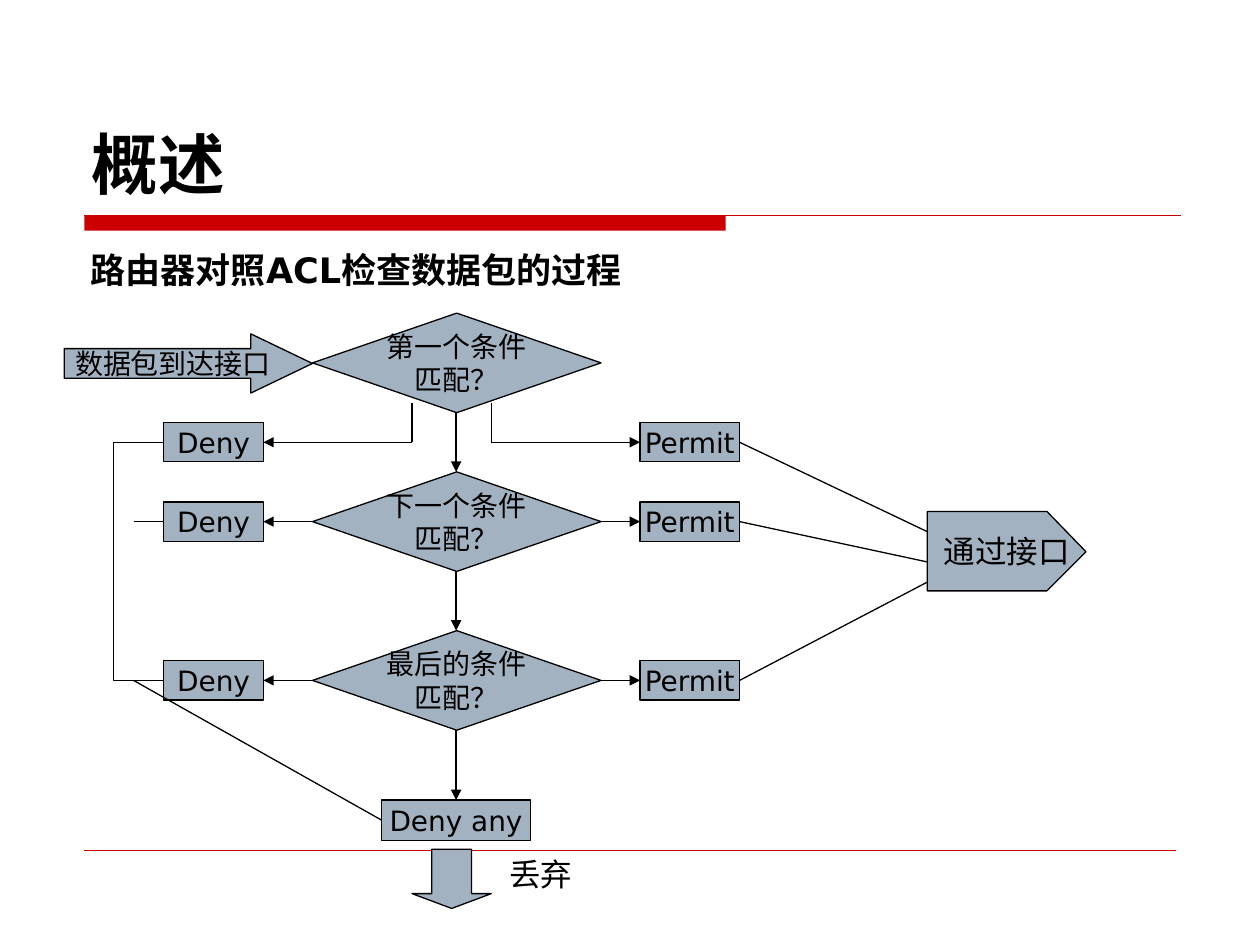
from lxml import etree
from pptx import Presentation
from pptx.dml.color import RGBColor
from pptx.enum.shapes import MSO_CONNECTOR, MSO_SHAPE
from pptx.enum.text import MSO_ANCHOR, MSO_AUTO_SIZE, PP_ALIGN
from pptx.oxml.ns import qn
from pptx.util import Inches, Pt

FONT = "DejaVu Sans"
BLACK, RED, STEEL = "000000", "CC0000", "A3B2C1"

TITLE = "概述"
SUBTITLE = "路由器对照ACL检查数据包的过程"
CENTER = 3.62
ROWS = [3.51, 4.14, 5.4]
CONDITIONS = [("第一个条件", 2.88), ("下一个条件", 4.14), ("最后的条件", 5.4)]
DIAMOND_WIDTH, DIAMOND_HEIGHT = 2.29, 0.79
DIAMOND_LEFT, DIAMOND_RIGHT = 2.48, 4.77
BOX_WIDTH, BOX_HEIGHT = 0.79, 0.31
DENY_LEFT, PERMIT_LEFT = 1.3, 5.08
DENY_RIGHT, PERMIT_RIGHT = DENY_LEFT + BOX_WIDTH, PERMIT_LEFT + BOX_WIDTH
DENY_ANY_TOP = 6.35
EXIT_LEFT = 7.36
EXIT_ENTRIES = [4.22, 4.46, 4.62]
EXIT_OUTLINE = [(EXIT_LEFT, 4.06), (8.31, 4.06), (8.62, 4.38), (8.31, 4.69), (EXIT_LEFT, 4.69)]
DENY_BRACKET = [(DENY_LEFT, ROWS[0]), (0.9, ROWS[0]), (0.9, ROWS[2]), (DENY_LEFT, ROWS[2])]


def color(value):
    return RGBColor.from_string(value)


def write(shape, lines, size, bold=False, align=PP_ALIGN.CENTER, anchor=MSO_ANCHOR.MIDDLE, wrap=False):
    frame = shape.text_frame
    frame.text = "\n".join(lines)
    frame.auto_size = MSO_AUTO_SIZE.NONE
    frame.word_wrap = wrap
    frame.vertical_anchor = anchor
    for paragraph in frame.paragraphs:
        paragraph.alignment = align
        paragraph.space_before = Pt(0)
        for name, value in {"name": FONT, "size": Pt(size), "bold": bold}.items():
            setattr(paragraph.font, name, value)
        paragraph.font.color.rgb = color(BLACK)


def place(shape, left, top, width, height):
    for name, value in {"left": left, "top": top, "width": width, "height": height}.items():
        setattr(shape, name, Inches(value))


def paint(shape, fill=STEEL, line=BLACK):
    shape.shadow.inherit = False
    if fill:
        shape.fill.solid()
        shape.fill.fore_color.rgb = color(fill)
    else:
        shape.fill.background()
    if line:
        shape.line.color.rgb = color(line)
        shape.line.width = Pt(0.75)
    else:
        shape.line.fill.background()


def add_box(slide, kind, left, top, width, height, lines=(), adjustments=(), **colors):
    shape = slide.shapes.add_shape(kind, *map(Inches, (left, top, width, height)))
    for index, value in enumerate(adjustments):
        shape.adjustments[index] = value
    paint(shape, **colors)
    if lines:
        write(shape, lines, 16)
    return shape


def add_outline(slide, points, closed, **colors):
    scaled = [(Inches(x), Inches(y)) for x, y in points]
    builder = slide.shapes.build_freeform(*scaled[0])
    builder.add_line_segments(scaled[1:], close=closed)
    shape = builder.convert_to_shape()
    paint(shape, **colors)
    return shape


def add_line(slide, start, end, arrow=False, line=BLACK, width=0.75):
    connector = slide.shapes.add_connector(MSO_CONNECTOR.STRAIGHT, *map(Inches, (*start, *end)))
    connector.line.color.rgb = color(line)
    connector.line.width = Pt(width)
    if arrow:
        outline = connector.line._get_or_add_ln()
        etree.SubElement(outline, qn("a:tailEnd"), type="triangle")
    etree.SubElement(connector._element.spPr, qn("a:effectLst"))


def add_header(slide):
    add_box(slide, MSO_SHAPE.RECTANGLE, 0.67, 1.71, 5.09, 0.12, fill=RED, line=None)
    add_line(slide, (0.67, 1.71), (9.37, 1.71), line=RED)
    add_line(slide, (0.67, 6.75), (9.33, 6.75), line=RED, width=0.25)

    title, body = slide.shapes.title, slide.placeholders[1]
    place(title, 0.63, 0.33, 8.75, 1.33)
    write(title, [TITLE], 38, True, PP_ALIGN.LEFT, MSO_ANCHOR.BOTTOM, True)
    place(body, 0.62, 1.92, 8.75, 4.67)
    body.text_frame.text = SUBTITLE
    write(body, [SUBTITLE], 20, True, PP_ALIGN.LEFT, MSO_ANCHOR.TOP, True)
    properties = body.text_frame.paragraphs[0]._p.get_or_add_pPr()
    properties.set("marL", "0")
    properties.set("indent", "0")
    properties.insert_element_before(
        properties.makeelement(qn("a:buNone")), "a:tabLst", "a:defRPr", "a:extLst")


def add_checks(slide):
    """Draw the conditions, their Deny and Permit results and the arrows between them."""
    half = DIAMOND_HEIGHT / 2
    next_tops = [y - half for _, y in CONDITIONS[1:]] + [DENY_ANY_TOP]
    for (text, y), row, next_top, entry in zip(CONDITIONS, ROWS, next_tops, EXIT_ENTRIES):
        add_box(slide, MSO_SHAPE.FLOWCHART_DECISION, DIAMOND_LEFT, y - half,
                DIAMOND_WIDTH, DIAMOND_HEIGHT, [text, "匹配？"])
        add_line(slide, (CENTER, y + half), (CENTER, next_top), arrow=True)
        for label, left in (("Deny", DENY_LEFT), ("Permit", PERMIT_LEFT)):
            add_box(slide, MSO_SHAPE.FLOWCHART_PROCESS, left, row - BOX_HEIGHT / 2,
                    BOX_WIDTH, BOX_HEIGHT, [label])
        starts = (DIAMOND_LEFT, DIAMOND_RIGHT)
        if row != y:
            starts = (3.27, 3.9)
            for x in starts:
                add_line(slide, (x, 3.2), (x, row))
        for start, end in zip(starts, (DENY_RIGHT, PERMIT_LEFT)):
            add_line(slide, (start, row), (end, row), arrow=True)
        add_line(slide, (PERMIT_RIGHT, row), (EXIT_LEFT, entry))


def add_ends(slide):
    """Draw the entry arrow, the exit to the interface and the discard path."""
    add_box(slide, MSO_SHAPE.RIGHT_ARROW, 0.51, 2.65, 1.97, 0.47, ["数据包到达接口"], (0.5, 1.04))
    write(add_outline(slide, EXIT_OUTLINE, True), ["通过接口"], 18)
    add_outline(slide, DENY_BRACKET, False, fill=None)
    add_line(slide, (DENY_LEFT, ROWS[1]), (1.06, ROWS[1]))
    add_line(slide, (1.06, ROWS[2]), (3.03, 6.51))
    add_box(slide, MSO_SHAPE.FLOWCHART_PROCESS, 3.03, DENY_ANY_TOP, 1.18, 0.32, ["Deny any"])
    add_box(slide, MSO_SHAPE.DOWN_ARROW, 3.27, 6.74, 0.63, 0.47, adjustments=(0.5, 0.25))
    discard = slide.shapes.add_textbox(*map(Inches, (3.82, 6.74, 0.94, 0.39)))
    write(discard, ["丢弃"], 18)


def main():
    presentation = Presentation()
    presentation.slide_width, presentation.slide_height = Inches(10), Inches(7.5)
    slide = presentation.slides.add_slide(presentation.slide_layouts[1])
    add_header(slide)
    add_checks(slide)
    add_ends(slide)
    presentation.save("out.pptx")


if __name__ == "__main__":
    main()
